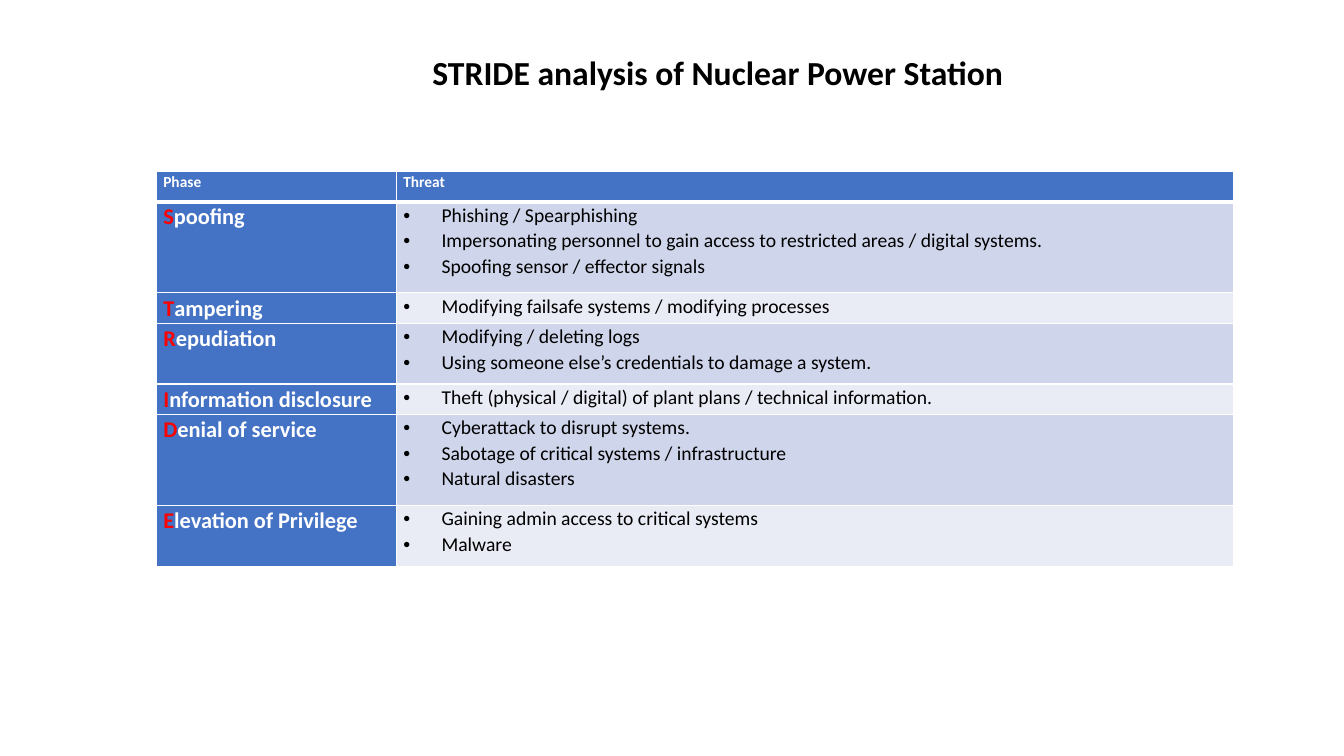
from lxml.etree import SubElement
from pptx import Presentation
from pptx.dml.color import RGBColor
from pptx.enum.text import MSO_AUTO_SIZE, PP_ALIGN
from pptx.oxml.ns import qn
from pptx.util import Inches, Pt

TITLE = "STRIDE analysis of Nuclear Power Station"
HEADERS = ("Phase", "Threat")
THREATS = {
    "Spoofing": [
        "Phishing / Spearphishing",
        "Impersonating personnel to gain access to restricted areas / digital systems.",
        "Spoofing sensor / effector signals",
    ],
    "Tampering": ["Modifying failsafe systems / modifying processes"],
    "Repudiation": [
        "Modifying / deleting logs",
        "Using someone else’s credentials to damage a system.",
    ],
    "Information disclosure": [
        "Theft (physical / digital) of plant plans / technical information.",
    ],
    "Denial of service": [
        "Cyberattack to disrupt systems.",
        "Sabotage of critical systems / infrastructure",
        "Natural disasters",
    ],
    "Elevation of Privilege": ["Gaining admin access to critical systems", "Malware"],
}

FONT = "Calibri"
BLACK = RGBColor(0, 0, 0)
WHITE = RGBColor(255, 255, 255)
RED = RGBColor(255, 0, 0)
BLUE = RGBColor(0x44, 0x72, 0xC4)
BANDS = (RGBColor(0xCF, 0xD5, 0xEA), RGBColor(0xE9, 0xEB, 0xF5))

LEFT, TOP, HEIGHT = 1.55, 1.7, 3.92
COLUMN_WIDTHS = (2.38, 8.31)
INDENT = Inches(0.38)


def add_run(paragraph, text, size, color, bold=True):
    run = paragraph.add_run()
    run.text = text
    run.font.name = FONT
    run.font.size = Pt(size)
    run.font.bold = bold
    run.font.color.rgb = color


def space_paragraph(paragraph, after=8):
    paragraph.line_spacing = 1.07
    paragraph.space_after = Pt(after)


def add_bullet(paragraph):
    properties = paragraph._p.get_or_add_pPr()
    properties.set("marL", str(INDENT))
    properties.set("indent", str(-INDENT))
    SubElement(properties, qn("a:buFont")).set("typeface", "Arial")
    SubElement(properties, qn("a:buChar")).set("char", "•")


def style_cell(cell, fill, top=1, bottom=1):
    cell.margin_left = cell.margin_right = Inches(0.07)
    cell.margin_top = cell.margin_bottom = 0
    properties = cell._tc.get_or_add_tcPr()
    for side, width in (("L", 1), ("R", 1), ("T", top), ("B", bottom)):
        line = SubElement(properties, qn(f"a:ln{side}"))
        line.set("w", str(Pt(width)))
        color = SubElement(SubElement(line, qn("a:solidFill")), qn("a:srgbClr"))
        color.set("val", str(WHITE))
    cell.fill.solid()
    cell.fill.fore_color.rgb = fill


presentation = Presentation()
presentation.slide_width = Inches(13.33)
presentation.slide_height = Inches(7.5)
slide = presentation.slides.add_slide(presentation.slide_layouts[6])

table = slide.shapes.add_table(
    len(THREATS) + 1, len(HEADERS),
    Inches(LEFT), Inches(TOP), Inches(sum(COLUMN_WIDTHS)), Inches(HEIGHT),
).table
for column, width in zip(table.columns, COLUMN_WIDTHS):
    column.width = Inches(width)

line_counts = [1] + [len(threats) for threats in THREATS.values()]
for row, count in zip(table.rows, line_counts):
    row.height = Inches(HEIGHT * count / sum(line_counts))

for column_index, header in enumerate(HEADERS):
    cell = table.cell(0, column_index)
    style_cell(cell, BLUE, bottom=3)
    paragraph = cell.text_frame.paragraphs[0]
    space_paragraph(paragraph)
    add_run(paragraph, header, 11, WHITE)

for row_index, (phase, threats) in enumerate(THREATS.items(), 1):
    phase_cell, threat_cell = table.cell(row_index, 0), table.cell(row_index, 1)
    top = 3 if row_index == 1 else 1
    style_cell(phase_cell, BLUE, top)
    style_cell(threat_cell, BANDS[(row_index - 1) % 2], top)

    paragraph = phase_cell.text_frame.paragraphs[0]
    space_paragraph(paragraph)
    add_run(paragraph, phase[0], 16, RED)
    add_run(paragraph, phase[1:], 16, WHITE)

    frame = threat_cell.text_frame
    for index, threat in enumerate(threats):
        paragraph = frame.add_paragraph() if index else frame.paragraphs[0]
        space_paragraph(paragraph, 8 if index == len(threats) - 1 else 0)
        add_bullet(paragraph)
        add_run(paragraph, threat, 14, BLACK, bold=False)

title = slide.shapes.add_textbox(Inches(1.95), Inches(0.47), Inches(10.34), Inches(0.5))
title.text_frame.word_wrap = True
title.text_frame.auto_size = MSO_AUTO_SIZE.SHAPE_TO_FIT_TEXT
paragraph = title.text_frame.paragraphs[0]
paragraph.alignment = PP_ALIGN.CENTER
add_run(paragraph, TITLE, 24, BLACK)

presentation.save("out.pptx")
